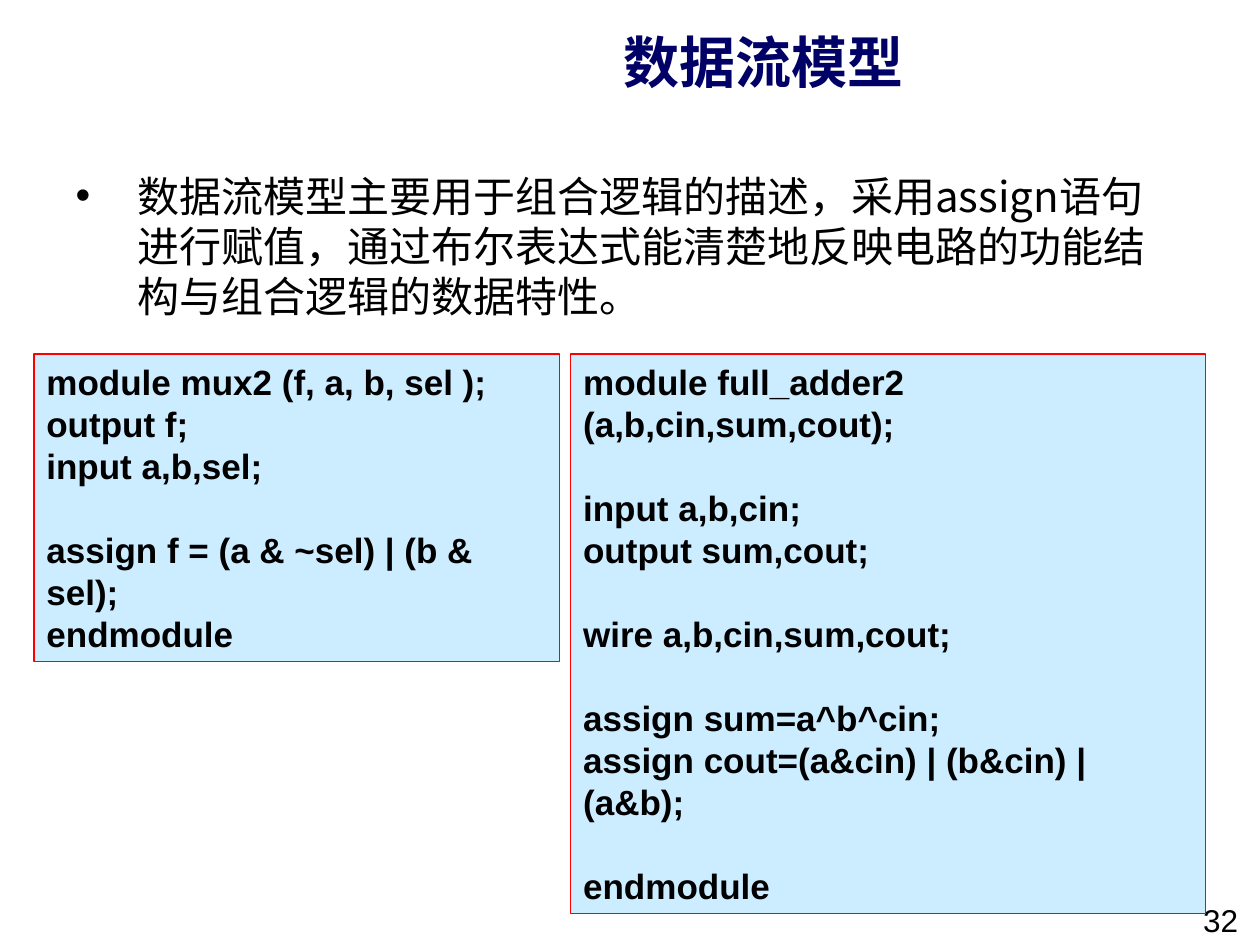
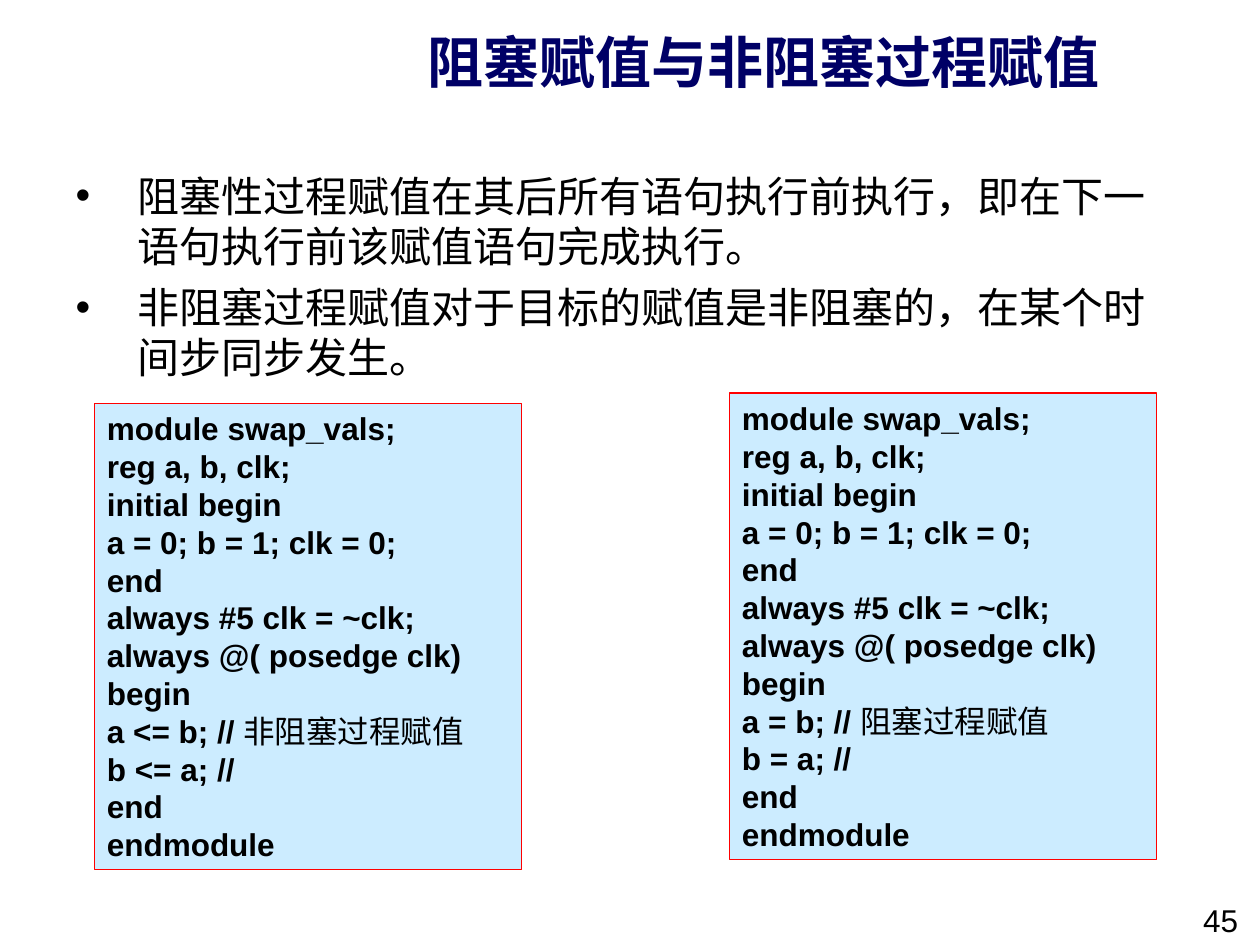
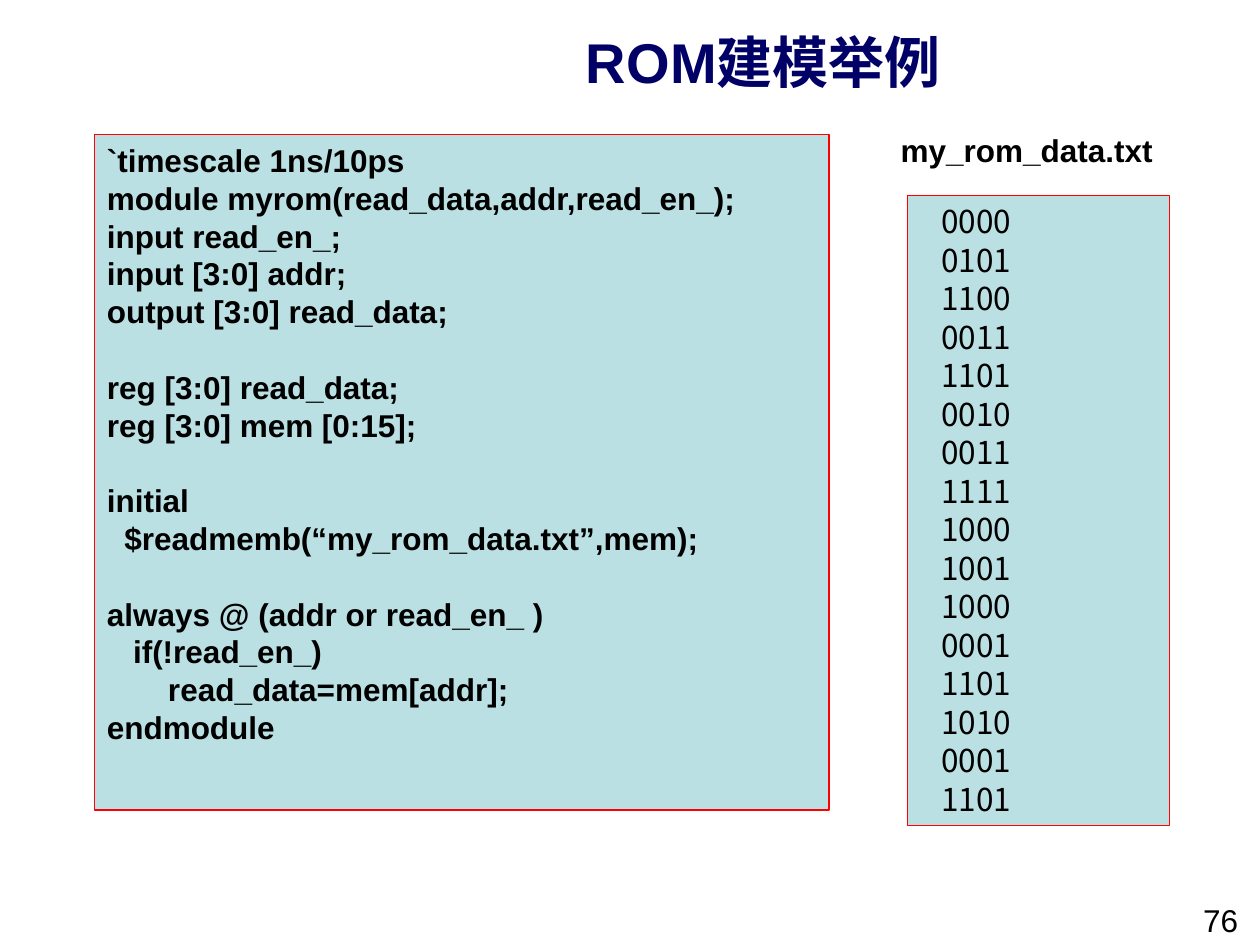
from lxml import etree
from pptx import Presentation
from pptx.dml.color import RGBColor
from pptx.enum import shapes, text
from pptx.oxml import ns
from pptx.util import Inches, Pt

COLORS = {"title": "000066", "text": "000000", "code": "CCECFF",
          "rom": "BBE0E3", "border": "FF0000"}
LATIN, CJK = "Arial", "Noto Sans CJK SC"
LINE_RATIO = 1.2
TITLE_BOX = (2.48, 0.07, 7.16, 0.83)
BODY_BOX = (0.5, 1.27, 9, 5.55)
NUMBER_BOX = (9.45, 7.1, 0.55, 0.4)

MUX_CODE = """module mux2 (f, a, b, sel );
output f;
input a,b,sel;

assign f = (a & ~sel) | (b & sel);
endmodule"""

ADDER_CODE = """module full_adder2 (a,b,cin,sum,cout);

input a,b,cin;
output sum,cout;

wire a,b,cin,sum,cout;

assign sum=a^b^cin;
assign cout=(a&cin) | (b&cin) | (a&b);

endmodule"""

SWAP_CODE = """module swap_vals;
reg a, b, clk;
initial begin
a = 0; b = 1; clk = 0;
end
always #5 clk = ~clk;
always @( posedge clk)
begin
a {op} b; // {note}
b {op} a; //
end
endmodule"""

ROM_CODE = """`timescale 1ns/10ps
module myrom(read_data,addr,read_en_);
input read_en_;
input [3:0] addr;
output [3:0] read_data;

reg [3:0] read_data;
reg [3:0] mem [0:15];

initial
  $readmemb(“my_rom_data.txt”,mem);

always @ (addr or read_en_ )
   if(!read_en_)
       read_data=mem[addr];
endmodule"""

ROM_WORDS = ("0000 0101 1100 0011 1101 0010 0011 1111 "
             "1000 1001 1000 0001 1101 1010 0001 1101").split()


def rgb(name):
    return RGBColor.from_string(COLORS[name])


def place(sp, box):
    sp.left, sp.top, sp.width, sp.height = map(Inches, box)


def style_run(r, size, bold=False, font=LATIN, color="text"):
    r.font.size = Pt(size)
    r.font.bold = bold
    r.font.name = font
    r.font.color.rgb = rgb(color)
    ea = etree.SubElement(r._r.get_or_add_rPr(), ns.qn("a:ea"))
    ea.set("typeface", CJK)


def next_paragraph(tf, first):
    return tf.paragraphs[0] if first else tf.add_paragraph()


def add_title(s, title):
    sp = s.shapes.title
    place(sp, TITLE_BOX)
    tf = sp.text_frame
    tf.text = title
    tf.auto_size = text.MSO_AUTO_SIZE.NONE
    tf.vertical_anchor = text.MSO_ANCHOR.MIDDLE
    p = tf.paragraphs[0]
    p.alignment = text.PP_ALIGN.CENTER
    style_run(p.runs[0], 32, True, color="title")


def add_label(s, box, label, bold=False):
    tf = s.shapes.add_textbox(*map(Inches, box)).text_frame
    tf.text = label
    tf.word_wrap = False
    style_run(tf.paragraphs[0].runs[0], 18, bold)


def add_bullets(s, items, font=LATIN, size=24):
    sp = s.placeholders[1]
    place(sp, BODY_BOX)
    tf = sp.text_frame
    tf.auto_size = text.MSO_AUTO_SIZE.NONE
    tf.margin_top = Inches(0.08)
    for i, item in enumerate(items):
        p = next_paragraph(tf, i == 0)
        p.text = item
        p.line_spacing = Pt(size * LINE_RATIO)
        p.space_before = Pt(6 if i else 0)
        pPr = p._p.get_or_add_pPr()
        pPr.set("marL", str(Inches(0.49)))
        pPr.set("indent", str(-Inches(0.49)))
        style_run(p.runs[0], size, font=font)


def add_panel(s, box, fill):
    sp = s.shapes.add_shape(shapes.MSO_SHAPE.RECTANGLE, *map(Inches, box))
    sp.shadow.inherit = False
    sp.fill.solid()
    sp.fill.fore_color.rgb = rgb(fill)
    sp.line.color.rgb = rgb("border")
    sp.line.width = Pt(0.75)
    tf = sp.text_frame
    tf.word_wrap = True
    tf.vertical_anchor = text.MSO_ANCHOR.TOP
    return tf


def add_code(s, box, code, size=18, fill="code"):
    tf = add_panel(s, box, fill)
    pitch = size * LINE_RATIO
    gap = 0
    for i, line in enumerate(code.split("\n")):
        if not line:
            gap = pitch
            continue
        p = next_paragraph(tf, i == 0)
        p.alignment = text.PP_ALIGN.LEFT
        p.line_spacing = Pt(pitch)
        p.space_before = Pt(gap)
        gap = 0
        statement, marker, note = line.partition("// ")
        p.text = statement + marker
        style_run(p.runs[0], size, True)
        if note:
            r = p.add_run()
            r.text = note
            style_run(r, size)


def add_rom_words(s, box):
    tf = add_panel(s, box, "rom")
    tf.margin_left = Inches(0.27)
    for i, word in enumerate(ROM_WORDS):
        p = next_paragraph(tf, i == 0)
        p.text = word
        p.alignment = text.PP_ALIGN.LEFT
        p.line_spacing = Pt(22)
        style_run(p.runs[0], 18, font=CJK)


def new_slide(prs, layout, title, number):
    s = prs.slides.add_slide(prs.slide_layouts[layout])
    add_title(s, title)
    add_label(s, NUMBER_BOX, str(number))
    return s


def dataflow_slide(prs):
    s = new_slide(prs, 1, "数据流模型", 32)
    add_bullets(s, ["数据流模型主要用于组合逻辑的描述，采用assign语句进行赋值，"
                    "通过布尔表达式能清楚地反映电路的功能结构与组合逻辑的数据特性。"], CJK)
    add_code(s, (0.27, 2.81, 4.17, 2.44), MUX_CODE, 20)
    add_code(s, (4.53, 2.81, 5.04, 4.44), ADDER_CODE, 20)


def assignment_slide(prs):
    s = new_slide(prs, 1, "阻塞赋值与非阻塞过程赋值", 45)
    add_bullets(s, ["阻塞性过程赋值在其后所有语句执行前执行，即在下一语句执行前该赋值语句完成执行。",
                    "非阻塞过程赋值对于目标的赋值是非阻塞的，在某个时间步同步发生。"])
    for left, top, op, note in ((0.75, 3.2, "<=", "非阻塞过程赋值"),
                                (5.79, 3.12, "=", "阻塞过程赋值")):
        add_code(s, (left, top, 3.39, 3.7), SWAP_CODE.format(op=op, note=note))


def rom_slide(prs):
    s = new_slide(prs, 5, "ROM建模举例", 76)
    add_code(s, (0.75, 1.07, 5.83, 5.36), ROM_CODE, fill="rom")
    add_rom_words(s, (7.2, 1.55, 2.08, 5))
    add_label(s, (7.05, 0.99, 2.2, 0.4), "my_rom_data.txt", True)


def main():
    prs = Presentation()
    prs.slide_width, prs.slide_height = Inches(10), Inches(7.5)
    dataflow_slide(prs)
    assignment_slide(prs)
    rom_slide(prs)
    prs.save("out.pptx")


if __name__ == "__main__":
    main()
